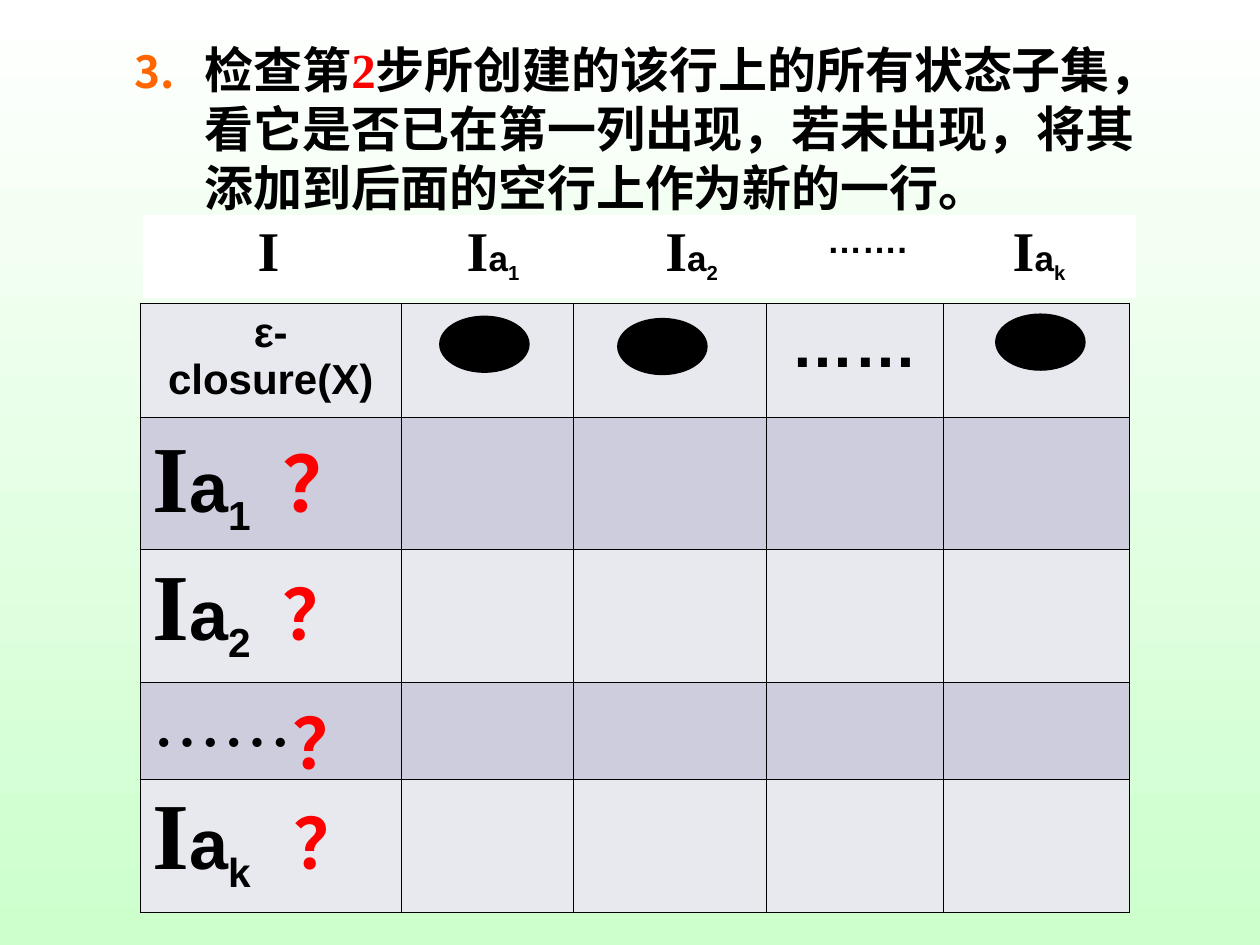
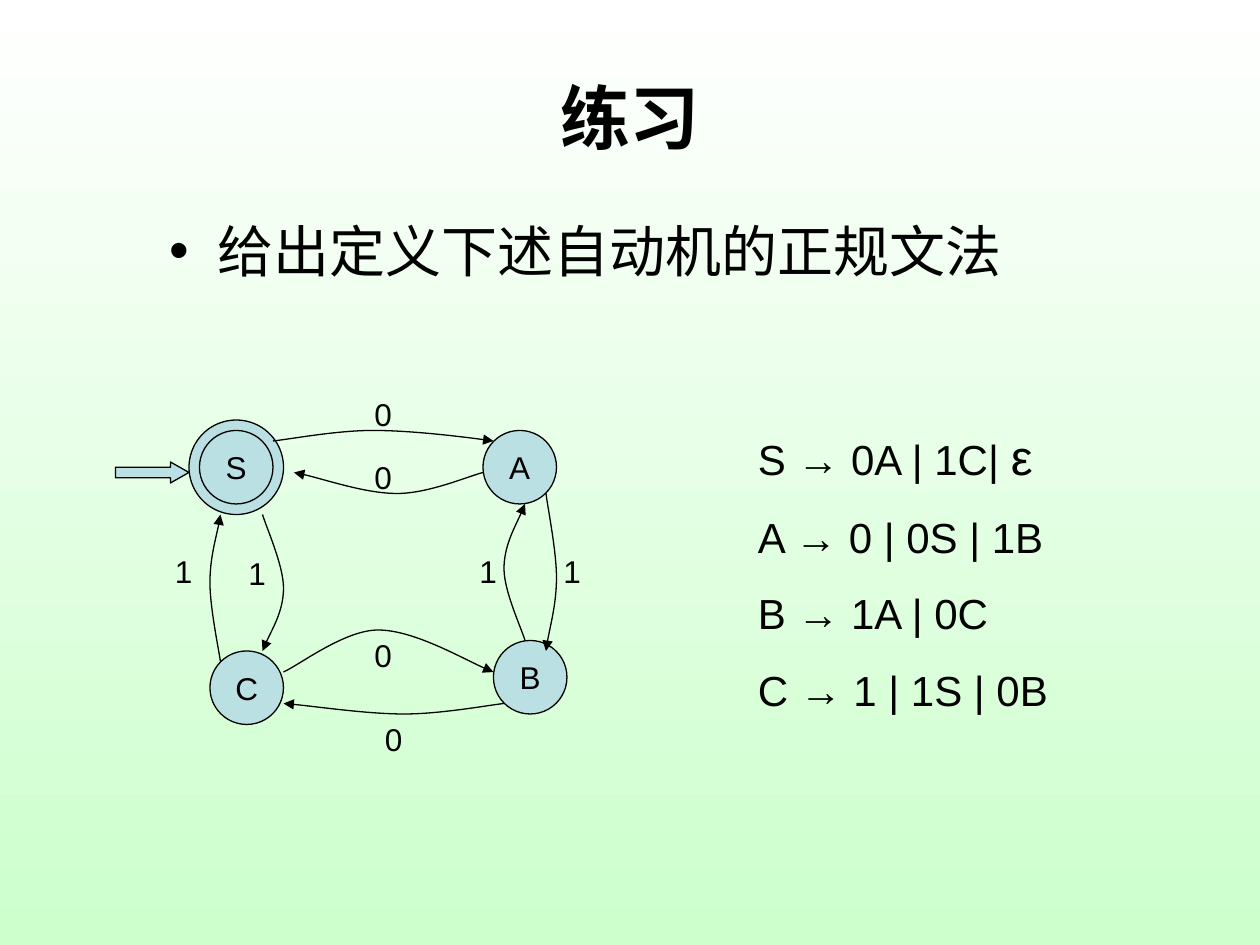
from lxml.etree import SubElement
from pptx import Presentation
from pptx.dml.color import RGBColor
from pptx.enum.shapes import MSO_SHAPE
from pptx.enum.text import MSO_ANCHOR, PP_ALIGN
from pptx.oxml.ns import qn
from pptx.util import Pt

HUES = dict(black="000000", white="FFFFFF", mint="CCFFCC", red="FF0000",
            orange="FF6600", pale="E8E8EF", mauve="CDCDDE", sky="BBE0E3")
SERIF = "Times New Roman"
BASE = dict(name="Arial", size=18, bold=False, hue="black")


def sub_i(mark, big, small):
    """Runs for the letter I with a and a subscript mark."""
    return [("I", dict(size=big, name=SERIF)), ("a", dict(size=small)),
            (mark, dict(size=small, base=-25))]


def ask(size, gap="\t"):
    return [(gap + "？", dict(size=size, hue="red"))]


# Slide 1: subset table
SERIF_BOLD = dict(size=28, name=SERIF, bold=True)
STEP = [("检查第", SERIF_BOLD), ("2", SERIF_BOLD | dict(hue="red")),
        ("步所创建的该行上的所有状态子集，看它是否已在第一列出现，"
         "若未出现，将其添加到后面的空行上", SERIF_BOLD),
        ("作为新的一行", dict(size=28, bold=True)), ("。", SERIF_BOLD)]
HEAD = [[[("I", dict(size=32, name=SERIF))], sub_i("1", 32, 20),
         sub_i("2", 32, 20), [("…….", dict(size=20))], sub_i("k", 32, 20)]]
HEAD_COLS, HEAD_ROWS = [143, 113.5, 113.5, 87, 109.5], [46.5]
BODY = [[[("ε-closure(X)", dict(size=24))], [], [], [("……", dict(size=36))], []],
        [sub_i("1", 54, 40) + ask(44)],
        [sub_i("2", 54, 40) + ask(40)],
        [[("……", dict(size=40, bold=False))] + ask(40, "")],
        [sub_i("k", 54, 40) + ask(40)]]
BODY_COLS, BODY_ROWS = [149.4, 98.2, 110.4, 101, 106.5], [64.5, 75.8, 75.6, 55.4, 75.4]
ASK_TABS = {1: 74, 2: 74, 4: 80.5}
DOTS = [(251.3, 180.7), (353, 182), (569, 179.5)]
DOT_SIZE = (51, 32)

# Slide 2: automaton and its grammar
TITLE = "练习"
TASK = "给出定义下述自动机的正规文法"
RING = (108, 240, 54, 54)
NODES = {"S": (114, 246), "A": (276, 246), "B": (282, 366), "C": (120, 372)}
NODE = 42
START = (66, 264, 42, 12)
# Each edge: start point, then two Bezier segments of three points
EDGES = [
    [(156, 252), (166, 251), (192, 246), (213, 246), (234, 246), (268, 250), (282, 252)],
    [(276, 270), (268, 272), (245, 282), (227, 282), (209, 282), (180, 272), (168, 270)],
    [(162, 384), (171, 380), (197, 360), (216, 360), (236, 360), (269, 379), (282, 384)],
    [(288, 402), (279, 403), (252, 408), (231, 408), (210, 408), (176, 403), (162, 402)],
    [(312, 282), (313, 290), (318, 315), (318, 330), (318, 345), (313, 363), (312, 372)],
    [(300, 366), (298, 359), (288, 338), (288, 325), (288, 312), (297, 296), (300, 288)],
    [(150, 294), (152, 301), (162, 323), (162, 336), (162, 349), (153, 364), (150, 372)],
    [(126, 378), (125, 371), (120, 347), (120, 333), (120, 319), (125, 302), (126, 294)],
]
LABELS = [("0", 198, 222), ("0", 198, 258), ("1", 306, 312), ("1", 258, 312),
          ("0", 198, 360), ("0", 204, 408), ("1", 84, 312), ("1", 126, 313)]
RULES = [[("S → 0A | 1C| ", dict(size=24)), ("ε", dict(size=28))],
         *[[(rule, dict(size=24))] for rule in
           ("A → 0 | 0S | 1B", "B → 1A | 0C", "C → 1 | 1S | 0B")]]


def rgb(hue):
    return RGBColor.from_string(HUES[hue])


def pts(nums):
    return [Pt(n) for n in nums]


def write(para, runs, align=PP_ALIGN.LEFT, **common):
    para.alignment = align
    for text, style in runs:
        look = BASE | common | style
        run = para.add_run()
        run.text = text
        for key in ("name", "bold"):
            setattr(run.font, key, look[key])
        run.font.size = Pt(look["size"])
        run.font.color.rgb = rgb(look["hue"])
        if "base" in look:
            run.font._element.set("baseline", str(look["base"] * 1000))


def add_tab(para, pos):
    tabs = SubElement(para._p.get_or_add_pPr(), qn("a:tabLst"))
    SubElement(tabs, qn("a:tab"), pos=str(Pt(pos)), algn="l")


def add_mark(para, left, hang, hue, tag, **attrs):
    """Give a paragraph a hanging bullet or number."""
    props = para._p.get_or_add_pPr()
    for key, value in (("marL", Pt(left)), ("indent", Pt(-hang)), ("hangingPunct", 0)):
        props.set(key, str(value))
    color = SubElement(props, qn("a:buClr"))
    SubElement(color, qn("a:srgbClr"), val=HUES[hue])
    if tag == "a:buAutoNum":
        SubElement(props, qn("a:buSzPct"), val="90000")
    else:
        SubElement(props, qn("a:buFont"), typeface="Arial")
    SubElement(props, qn(tag), **attrs)


def add_box(slide, *place):
    frame = slide.shapes.add_textbox(*pts(place)).text_frame
    frame.word_wrap = True
    return frame


def paint(shape, fill=None):
    shape.shadow.inherit = False
    if fill:
        shape.fill.solid()
        shape.fill.fore_color.rgb = rgb(fill)
    else:
        shape.fill.background()
    shape.line.color.rgb = rgb("black")
    shape.line.width = Pt(0.75)
    return shape


def add_form(slide, kind, place, fill):
    return paint(slide.shapes.add_shape(kind, *pts(place)), fill)


def edge_cell(cell):
    props = cell._tc.get_or_add_tcPr()
    for i, side in enumerate(("a:lnL", "a:lnR", "a:lnT", "a:lnB")):
        line = SubElement(props, qn(side), w=str(Pt(0.45)))
        fill = SubElement(line, qn("a:solidFill"))
        SubElement(fill, qn("a:srgbClr"), val=HUES["black"])
        props.insert(i, line)


def add_grid(slide, left, top, cols, rows, cells, fills, edged=False, tabs={}):
    table = slide.shapes.add_table(len(rows), len(cols), *pts(
        (left, top, sum(cols), sum(rows)))).table
    table.first_row = table.horz_banding = False
    for col, width in zip(table.columns, cols):
        col.width = Pt(width)
    for r, height in enumerate(rows):
        table.rows[r].height = Pt(height)
        for c in range(len(cols)):
            cell = table.cell(r, c)
            cell.fill.solid()
            cell.fill.fore_color.rgb = rgb(fills[r % len(fills)])
            if edged:
                edge_cell(cell)
            if c < len(cells[r]):
                para = cell.text_frame.paragraphs[0]
                if r in tabs:
                    add_tab(para, tabs[r])
                write(para, cells[r][c], PP_ALIGN.LEFT if r else PP_ALIGN.CENTER,
                      bold=True)


def add_edge(slide, points):
    """Draw a curved arrow through Bezier control points."""
    pen = slide.shapes.build_freeform(*points[0], scale=Pt(1))
    pen.add_line_segments(points[1:], close=False)
    shape = paint(pen.convert_to_shape())
    track = shape._element.find(".//" + qn("a:path"))
    legs = track.findall(qn("a:lnTo"))
    for i in range(0, len(legs), 3):
        curve = SubElement(track, qn("a:cubicBezTo"))
        for leg in legs[i:i + 3]:
            curve.append(leg[0])
            track.remove(leg)
    SubElement(shape.line._get_or_add_ln(), qn("a:tailEnd"), type="triangle")


def draw_table(deck):
    slide = deck.slides.add_slide(deck.slide_layouts[6])
    para = add_box(slide, 33.6, 19.2, 648, 115).paragraphs[0]
    add_mark(para, 76.3, 40.3, "orange", "a:buAutoNum", type="arabicPeriod", startAt="3")
    write(para, STEP)
    add_grid(slide, 80, 173.5, BODY_COLS, BODY_ROWS, BODY, ("pale", "mauve"),
             True, ASK_TABS)
    add_grid(slide, 82, 123.2, HEAD_COLS, HEAD_ROWS, HEAD, ("white",))
    for spot in DOTS:
        add_form(slide, MSO_SHAPE.OVAL, spot + DOT_SIZE, "black")


def draw_task(deck):
    slide = deck.slides.add_slide(deck.slide_layouts[5])
    title = slide.shapes.title
    for key, value in zip(("left", "top", "width", "height"), (36, 21.5, 648, 90)):
        setattr(title, key, Pt(value))
    title.text_frame.vertical_anchor = MSO_ANCHOR.MIDDLE
    write(title.text_frame.paragraphs[0], [(TITLE, dict(size=40, bold=True))],
          PP_ALIGN.CENTER)
    para = add_box(slide, 90, 120, 528, 66).paragraphs[0]
    add_mark(para, 27, 27, "black", "a:buChar", char="•")
    write(para, [(TASK, dict(size=32))])

    add_form(slide, MSO_SHAPE.OVAL, RING, "sky")
    for name, spot in NODES.items():
        frame = add_form(slide, MSO_SHAPE.OVAL, (*spot, NODE, NODE), "sky").text_frame
        frame.word_wrap = False
        frame.vertical_anchor = MSO_ANCHOR.MIDDLE
        write(frame.paragraphs[0], [(name, {})], PP_ALIGN.CENTER)
    arrow = add_form(slide, MSO_SHAPE.RIGHT_ARROW, START, "sky")
    arrow.adjustments[1] = 0.88
    for points in EDGES:
        add_edge(slide, points)
    for text, left, top in LABELS:
        write(add_box(slide, left, top, 42, 29).paragraphs[0], [(text, {})],
              PP_ALIGN.CENTER)

    frame = add_box(slide, 426, 240, 252, 172)
    for i, rule in enumerate(RULES):
        para = frame.add_paragraph() if i else frame.paragraphs[0]
        if i:
            para.space_before = Pt(15)
        write(para, rule)


def main():
    deck = Presentation()
    deck.slide_width, deck.slide_height = Pt(720), Pt(540)
    fill = deck.slide_master.background.fill
    fill.gradient()
    fill.gradient_angle = 270
    for stop, hue in zip(fill.gradient_stops, ("white", "mint")):
        stop.color.rgb = rgb(hue)
    draw_table(deck)
    draw_task(deck)
    deck.save("out.pptx")


if __name__ == "__main__":
    main()
